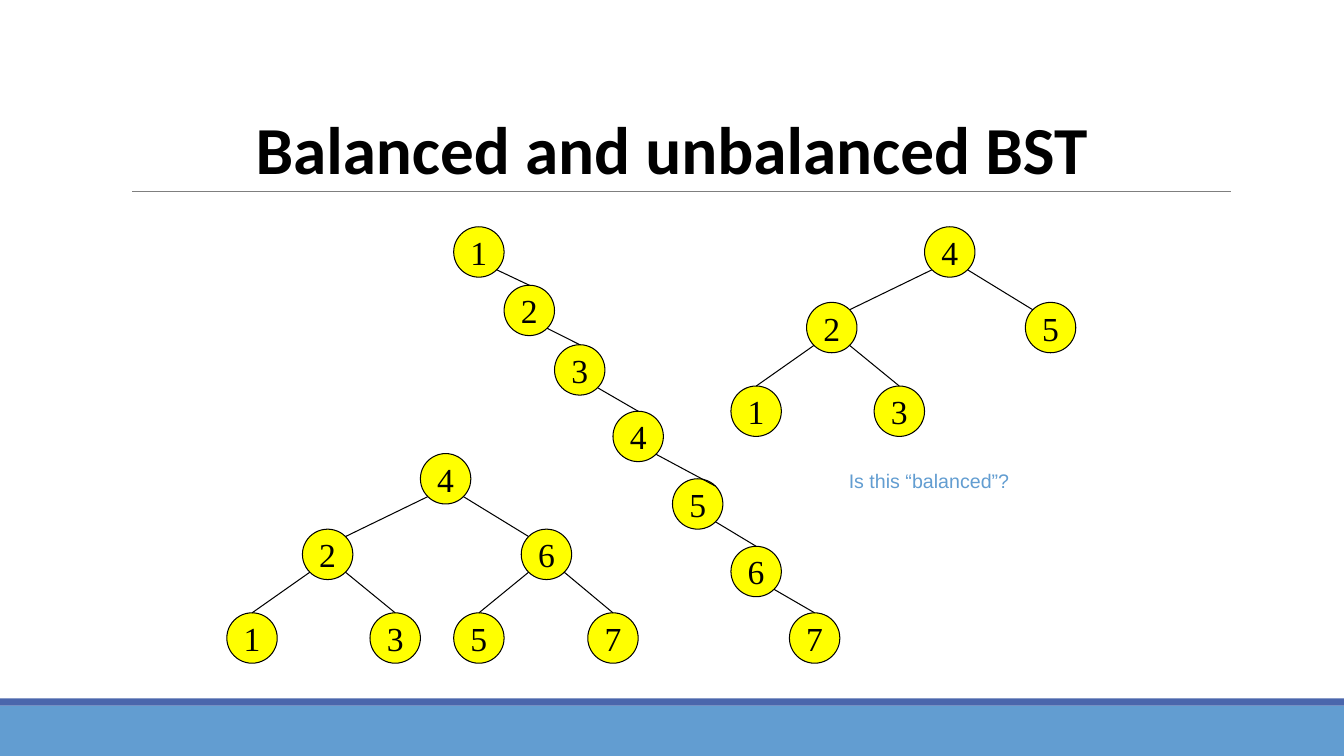
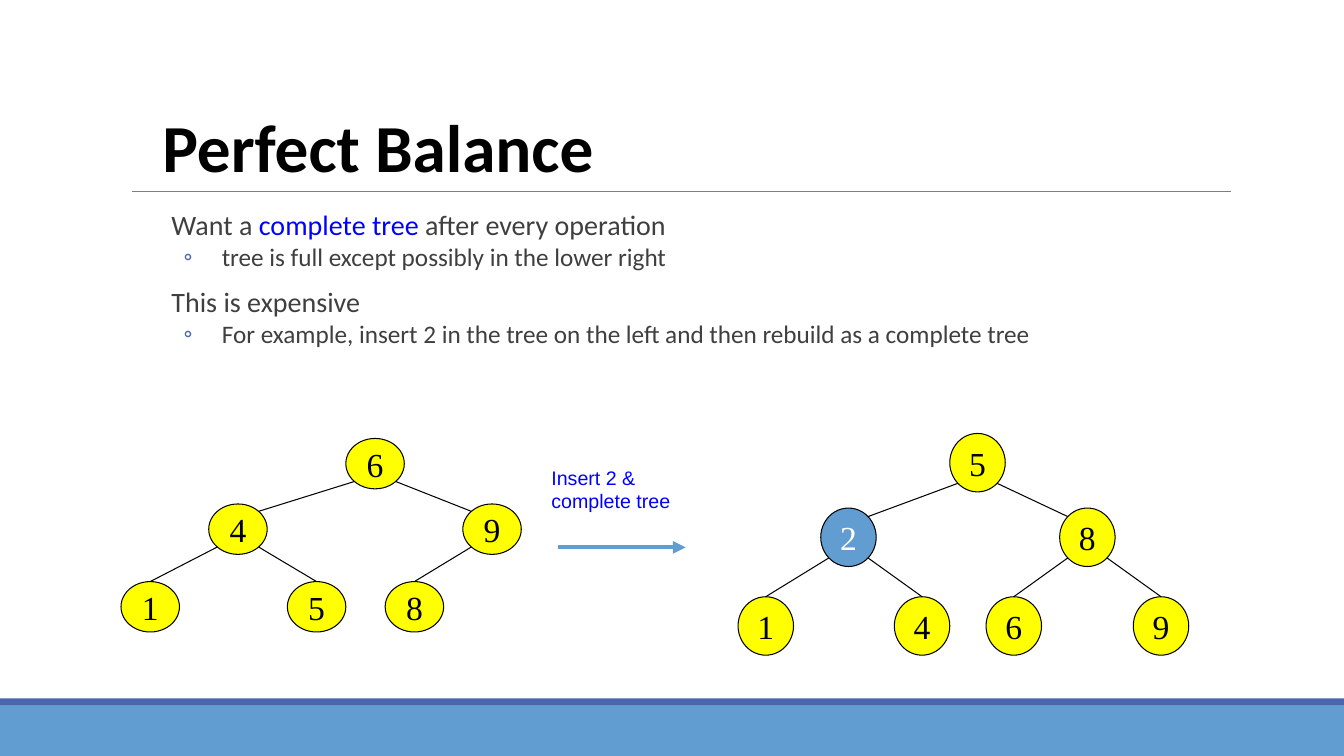
from typing import NamedTuple

from lxml import etree
from pptx import Presentation
from pptx import util as u
from pptx.dml.color import RGBColor
from pptx.enum import shapes, text
from pptx.oxml.ns import qn

COLORS = {
    "sky": "629DD1",
    "indigo": "4A66AC",
    "rule": "7F7F7F",
    "body": "3F3F3F",
    "black": "000000",
    "white": "FFFFFF",
    "yellow": "FFFF00",
    "blue": "0000FF",
}
TITLE_ONLY, TITLE_AND_CONTENT = 5, 1
DIAGONAL = 0.5 ** 0.5 / 2  # offset of a circle's 45° point, per unit of diameter


class Node(NamedTuple):
    """A tree node, placed relative to the root of its tree."""
    label: str
    x: float = 0
    y: float = 0
    parent: str = ""
    entry: str = "top"  # where the edge arrives: top, left or right
    fill: str = "yellow"
    ink: str = "black"


def rgb(name):
    return RGBColor.from_string(COLORS[name])


def write(paragraph, words, font="Calibri", size=20, color="black", bold=False):
    run = paragraph.add_run()
    run.text = words
    run.font.name = font
    run.font.size = u.Pt(size)
    run.font.bold = bold
    run.font.color.rgb = rgb(color)


class Deck:
    def __init__(self):
        self.presentation = Presentation()
        self.presentation.slide_width = u.Inches(13.33)
        self.presentation.slide_height = u.Inches(7.5)
        self.slide = None

    def add_slide(self, layout):
        first = self.slide is None
        self.slide = self.presentation.slides.add_slide(
            self.presentation.slide_layouts[layout])
        if first:
            self.decorate_master()

    def decorate_master(self):
        """Draw the bands and title rule, then hand them to the master."""
        tree = self.presentation.slide_master.shapes.element
        parts = [
            self.shape(self.slide.shapes, "RECTANGLE", 0, 7, 13.33, 0.5, "sky"),
            self.shape(self.slide.shapes, "RECTANGLE", 0, 6.93, 13.33, 0.07, "indigo"),
            self.line(self.slide.shapes, (1.31, 1.9), (12.21, 1.9), "rule"),
        ]
        for position, part in enumerate(parts, start=2):
            tree.insert(position, part.element)

    def place(self, shape, left, top, width, height):
        shape.left, shape.top = u.Inches(left), u.Inches(top)
        shape.width, shape.height = u.Inches(width), u.Inches(height)

    def shape(self, parent, kind, left, top, width, height, fill):
        shape = parent.add_shape(
            getattr(shapes.MSO_SHAPE, kind), u.Inches(left), u.Inches(top),
            u.Inches(width), u.Inches(height))
        shape.shadow.inherit = False
        shape.fill.solid()
        shape.fill.fore_color.rgb = rgb(fill)
        shape.line.fill.background()
        return shape

    def line(self, parent, start, end, color="black", width=0.75, arrow=False):
        connector = parent.add_connector(
            shapes.MSO_CONNECTOR.STRAIGHT, *map(u.Inches, (*start, *end)))
        connector.line.color.rgb = rgb(color)
        connector.line.width = u.Pt(width)
        properties = connector.element.spPr
        if arrow:
            etree.SubElement(properties.find(qn("a:ln")), qn("a:tailEnd"), type="triangle")
        etree.SubElement(properties, qn("a:effectLst"))
        return connector

    def title(self, words, left, top, width, height, align):
        title = self.slide.shapes.title
        self.place(title, left, top, width, height)
        frame = title.text_frame
        frame.auto_size = text.MSO_AUTO_SIZE.NONE
        frame.vertical_anchor = text.MSO_ANCHOR.BOTTOM
        paragraph = frame.paragraphs[0]
        paragraph.alignment = align
        paragraph.line_spacing = 0.85
        write(paragraph, words, size=48, bold=True)

    def bullets(self, items, left, top, width, height):
        """Items are (level, [(words, color), ...])."""
        body = self.slide.placeholders[1]
        self.place(body, left, top, width, height)
        frame = body.text_frame
        frame.auto_size = text.MSO_AUTO_SIZE.NONE
        frame.margin_left = frame.margin_right = 0
        for index, (level, runs) in enumerate(items):
            paragraph = frame.add_paragraph() if index else frame.paragraphs[0]
            paragraph.level = level
            paragraph.line_spacing = 0.9
            paragraph.space_before = u.Pt((2 if level else 12) if index else 0)
            paragraph.space_after = u.Pt(0)
            properties = paragraph._p.get_or_add_pPr()
            properties.set("marL", str(u.Inches(0.5 * (level + 1))))
            properties.set("indent", str(u.Inches(-0.38)))
            bullet_color = etree.SubElement(properties, qn("a:buClr"))
            etree.SubElement(bullet_color, qn("a:srgbClr"), val=COLORS["indigo"])
            etree.SubElement(properties, qn("a:buFont"), typeface="Calibri")
            etree.SubElement(properties, qn("a:buChar"), char="◦" if level else " ")
            for words, color in runs:
                write(paragraph, words, size=18 if level else 20, color=color)

    def caption(self, lines, left, top, width, height, color):
        box = self.slide.shapes.add_textbox(*map(u.Inches, (left, top, width, height)))
        frame = box.text_frame
        frame.word_wrap = True
        frame.auto_size = text.MSO_AUTO_SIZE.SHAPE_TO_FIT_TEXT
        for index, words in enumerate(lines):
            paragraph = frame.add_paragraph() if index else frame.paragraphs[0]
            write(paragraph, words, font="Arial", size=14, color=color)

    def tree(self, nodes, root, width=0.5, height=0.5):
        """Draw grouped nodes; root is the top left corner of the root node."""
        group = self.slide.shapes.add_group_shape()
        circles, centers = {}, {}
        for node in nodes:
            left, top = root[0] + node.x, root[1] + node.y
            circle = self.shape(group.shapes, "OVAL", left, top, width, height, node.fill)
            circle.line.color.rgb = rgb("black")
            circle.line.width = u.Pt(0.75)
            frame = circle.text_frame
            frame.word_wrap = False
            frame.vertical_anchor = text.MSO_ANCHOR.MIDDLE
            frame.paragraphs[0].alignment = text.PP_ALIGN.CENTER
            write(frame.paragraphs[0], node.label, font="Times New Roman",
                  size=24, color=node.ink)
            circles[node.label] = circle
            centers[node.label] = (left + width / 2, top + height / 2)

        # Edges leave the parent's lower diagonal on the child's side
        dx, dy = width * DIAGONAL, height * DIAGONAL
        for node in nodes:
            if not node.parent:
                continue
            x, y = centers[node.label]
            parent_x, parent_y = centers[node.parent]
            start = (parent_x + (dx if x > parent_x else -dx), parent_y + dy)
            ends = {"top": (x, y - height / 2),
                    "left": (x - dx, y - dy), "right": (x + dx, y - dy)}
            edge = self.line(group.shapes, start, ends[node.entry])
            if node.entry == "top":
                edge.end_connect(circles[node.label], 0)


def balanced_slide(deck):
    deck.add_slide(TITLE_ONLY)
    deck.title("Balanced and unbalanced BST", 2.25, 0.67, 8.83, 1.25,
               text.PP_ALIGN.CENTER)

    # Both balanced trees share their root and left branch
    left_half = [
        Node("4"),
        Node("2", -1.17, 0.75, "4", "right"),
        Node("1", -1.92, 1.58, "2"),
        Node("3", -0.5, 1.58, "2"),
    ]
    deck.tree(left_half + [Node("5", 1, 0.75, "4", "left")], (9.17, 2.25))
    deck.tree(left_half + [
        Node("6", 1, 0.75, "4", "left"),
        Node("5", 0.33, 1.58, "6"),
        Node("7", 1.66, 1.58, "6"),
    ], (4.17, 4.5))

    # Unbalanced chain
    steps = [(0.5, 0.58), (1, 1.17), (1.58, 1.83), (2.17, 2.5), (2.75, 3.17), (3.33, 3.83)]
    chain = [Node("1")] + [
        Node(str(number), x, y, str(number - 1), "right" if number == 5 else "top")
        for number, (x, y) in enumerate(steps, start=2)]
    deck.tree(chain, (4.5, 2.25))

    deck.caption(["Is this “balanced”?"], 8.32, 4.6, 2.11, 0.4, "sky")


def perfect_slide(deck):
    deck.add_slide(TITLE_AND_CONTENT)
    deck.title("Perfect Balance", 1.51, 0.31, 10.31, 1.59, text.PP_ALIGN.LEFT)
    deck.bullets([
        (0, [("Want a ", "body"), ("complete tree", "blue"),
             (" after every operation", "body")]),
        (1, [("tree is full except possibly in the lower right", "body")]),
        (0, [("This is expensive", "body")]),
        (1, [("For example, insert 2 in the tree on the left and then "
              "rebuild as a complete tree", "body")]),
    ], 1.2, 2.05, 11, 2)

    # Before the insertion
    deck.tree([
        Node("6"),
        Node("4", -1.36, 0.65, "6", "right"),
        Node("9", 1.16, 0.65, "6", "left"),
        Node("8", 0.39, 1.42, "9"),
        Node("1", -2.23, 1.42, "4"),
        Node("5", -0.58, 1.42, "4"),
    ], (3.43, 4.35), width=0.58)

    # After the insertion
    deck.tree([
        Node("5"),
        Node("2", -1.28, 0.74, "5", "right", "sky", "white"),
        Node("8", 1.09, 0.74, "5", "left"),
        Node("6", 0.36, 1.62, "8"),
        Node("9", 1.82, 1.62, "8"),
        Node("1", -2.1, 1.62, "2"),
        Node("4", -0.55, 1.62, "2"),
    ], (9.42, 4.3), width=0.55, height=0.58)

    # Step between the two trees
    deck.caption(["Insert 2 &", "complete tree"], 5.37, 4.57, 1.64, 0.71, "blue")
    deck.line(deck.slide.shapes, (5.53, 5.43), (6.8, 5.43), "sky", 3, arrow=True)


def main():
    deck = Deck()
    balanced_slide(deck)
    perfect_slide(deck)
    deck.presentation.save("out.pptx")


if __name__ == "__main__":
    main()
